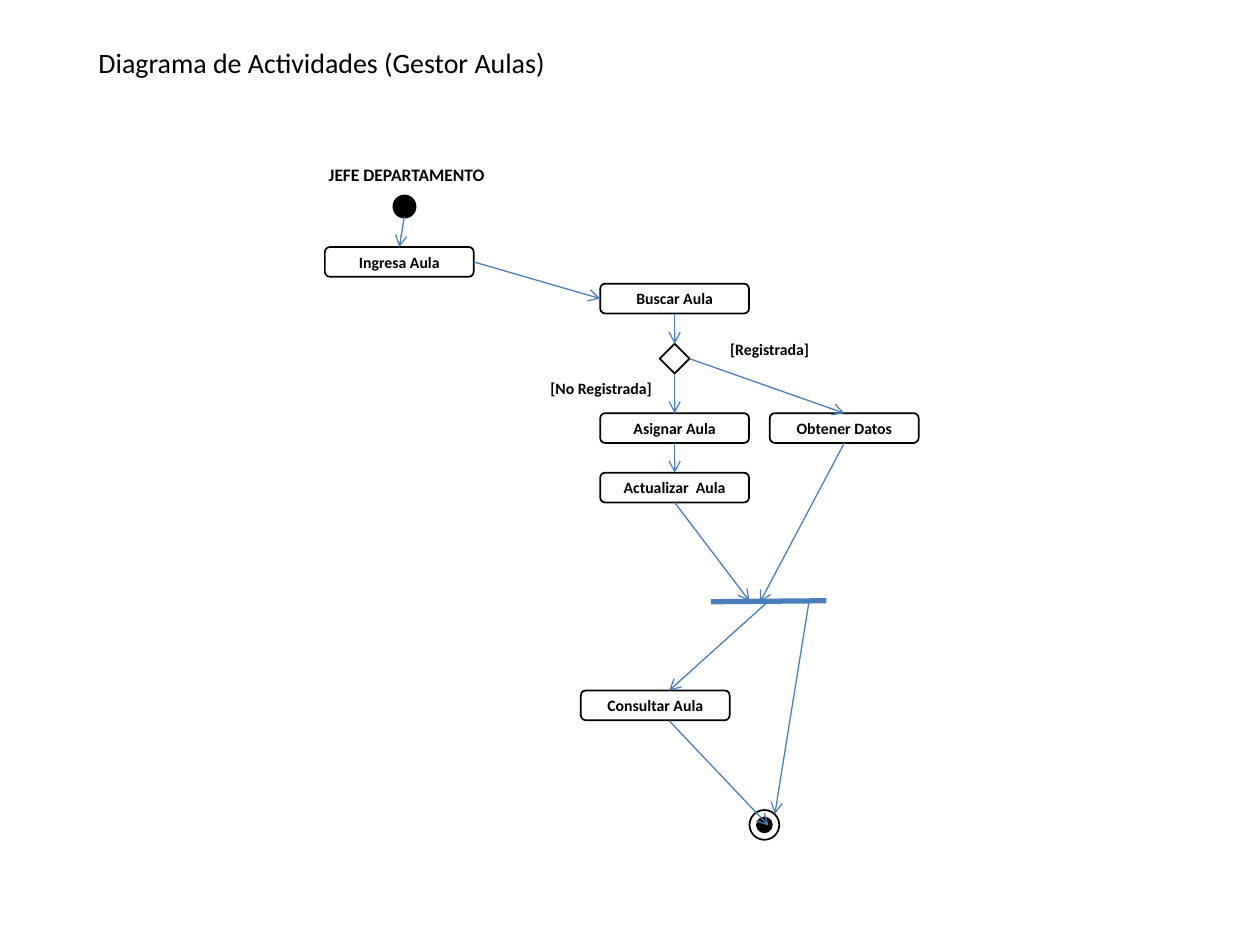
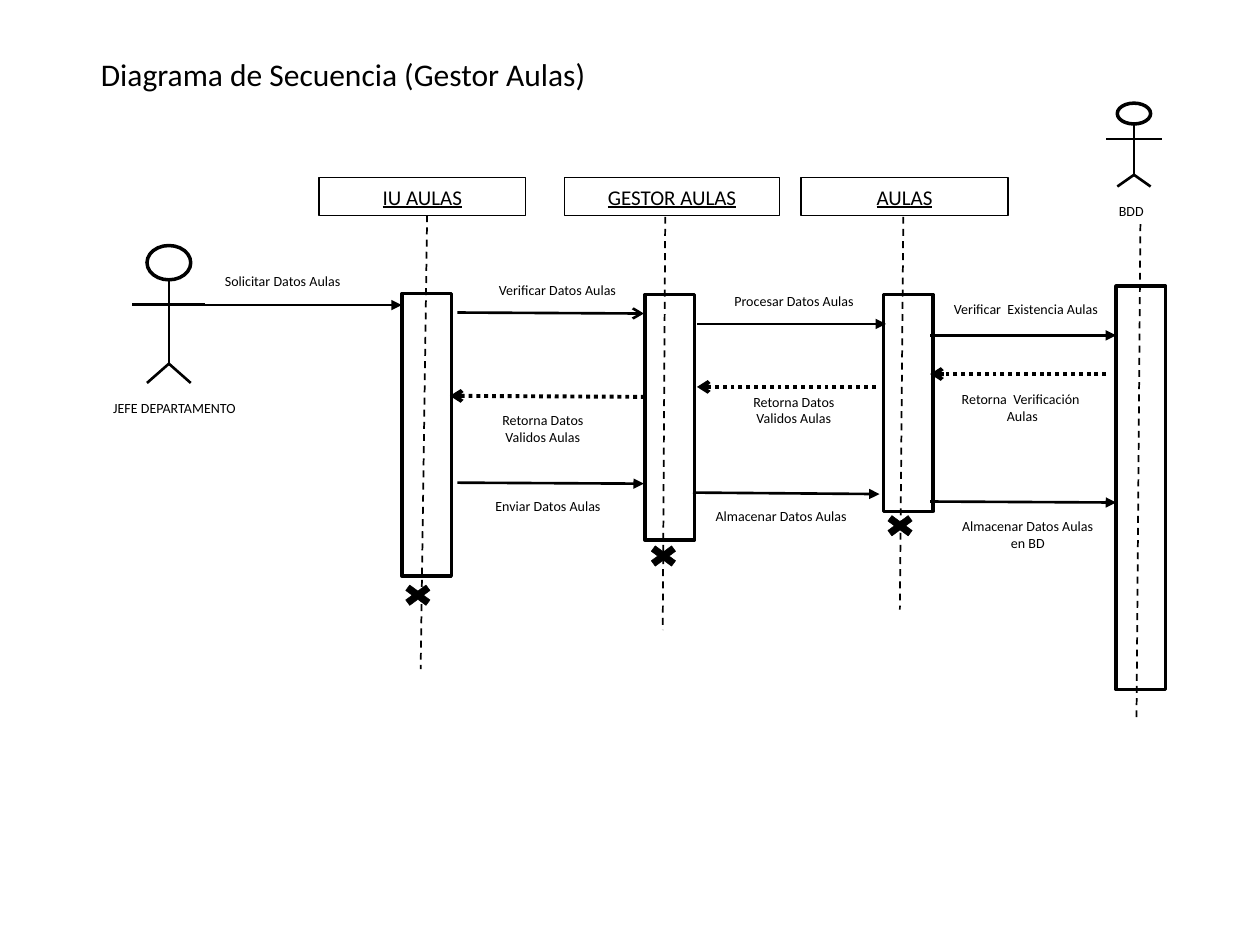
from dataclasses import dataclass

from lxml import etree
from pptx import Presentation
from pptx.dml.color import RGBColor
from pptx.enum.dml import MSO_LINE
from pptx.enum.shapes import MSO_CONNECTOR, MSO_SHAPE
from pptx.enum.text import MSO_ANCHOR, MSO_AUTO_SIZE, PP_ALIGN
from pptx.oxml.ns import qn
from pptx.slide import Slide
from pptx.util import Cm, Pt

# Shared constants
BLACK = RGBColor(0x00, 0x00, 0x00)
WHITE = RGBColor(0xFF, 0xFF, 0xFF)
BLUE = RGBColor(0x4A, 0x7E, 0xBB)
FONT = "Calibri"

STRAIGHT = MSO_CONNECTOR.STRAIGHT
RECT, OVAL, CROSS = MSO_SHAPE.RECTANGLE, MSO_SHAPE.OVAL, MSO_SHAPE.MATH_MULTIPLY
ACTIVITY = MSO_SHAPE.FLOWCHART_ALTERNATE_PROCESS
DECISION = MSO_SHAPE.FLOWCHART_DECISION
NODE, DONUT = MSO_SHAPE.FLOWCHART_CONNECTOR, MSO_SHAPE.DONUT
DASH, DOT = MSO_LINE.DASH, MSO_LINE.ROUND_DOT
LEFT, CENTER = PP_ALIGN.LEFT, PP_ALIGN.CENTER
ANCHOR_TOP, ANCHOR_MIDDLE = MSO_ANCHOR.TOP, MSO_ANCHOR.MIDDLE
NO_FIT = MSO_AUTO_SIZE.NONE
TOP_SIDE, LEFT_SIDE, BOTTOM_SIDE, RIGHT_SIDE = range(4)

# Text styles
LANE = dict(size=Pt(10), bold=True)
STEP = dict(size=Pt(9), bold=True)
OBJECT = dict(size=Pt(12), underline=True)
MESSAGE = dict(size=Pt(8))

# Line styles
FLOW = dict(color=BLUE, width=0.75, tail="arrow")
JOIN_BAR = dict(color=BLUE, width=3)
LIFELINE = dict(width=1, dash=DASH)
LIMB = dict(width=1.5)
CALL = dict(width=1.5, tail="triangle")
OPEN_CALL = dict(width=1.5, tail="arrow")
REPLY = dict(width=2.25, dash=DOT, tail="arrow")


def set_all(obj, values):
    for name, value in values.items():
        setattr(obj, name, value)


def write(tf, text, style, align=CENTER):
    p = tf.paragraphs[0]
    p.alignment = align
    r = p.add_run()
    r.text = text
    set_all(r.font, dict(name=FONT, **style))
    r.font.color.rgb = BLACK


@dataclass
class Panel:
    """Region of a slide; its parts are placed in cm from its corner."""
    slide: Slide
    left: float
    top: float

    def place(self, x, y):
        return Cm(self.left + x), Cm(self.top + y)

    def shape(self, kind, x, y, w, h, fill=WHITE, width=1.0):
        sp = self.slide.shapes.add_shape(kind, *self.place(x, y), Cm(w), Cm(h))
        sp.shadow.inherit = False
        if fill is None:
            sp.fill.background()
        else:
            sp.fill.solid()
            sp.fill.fore_color.rgb = fill
        sp.line.color.rgb = BLACK
        sp.line.width = Pt(width)
        return sp

    def boxed_text(self, kind, text, x, y, w, h, style, **look):
        sp = self.shape(kind, x, y, w, h, **look)
        set_all(sp.text_frame, dict(margin_top=0, margin_bottom=0,
                                    vertical_anchor=ANCHOR_MIDDLE))
        write(sp.text_frame, text, style)
        return sp

    def label(self, text, x, y, w, style, h=0.64):
        sp = self.slide.shapes.add_textbox(*self.place(x, y), Cm(w), Cm(h))
        sp.text_frame.word_wrap = True
        write(sp.text_frame, text, style)

    def line(self, start, end, color=BLACK, width=1.0, dash=None, tail=None):
        """Each end is a point (x, y) or a pair (shape, side)."""
        joined = [hasattr(e[0], "shape_id") for e in (start, end)]
        points = [(0, 0) if j else self.place(*e)
                  for j, e in zip(joined, (start, end))]
        c = self.slide.shapes.add_connector(STRAIGHT, *points[0], *points[1])
        if joined[0]:
            c.begin_connect(*start)
        if joined[1]:
            c.end_connect(*end)
        c.line.color.rgb = color
        c.line.width = Pt(width)
        if dash is not None:
            c.line.dash_style = dash
        spPr = c._element.spPr
        if tail:
            etree.SubElement(spPr.find(qn("a:ln")), qn("a:tailEnd"), type=tail)
        etree.SubElement(spPr, qn("a:effectLst"))


def titled_slide(prs, text, box, size, align):
    s = prs.slides.add_slide(prs.slide_layouts[5])
    title = s.shapes.title
    set_all(title, dict(zip(("left", "top", "width", "height"), map(Cm, box))))
    set_all(title.text_frame, dict(auto_size=NO_FIT, word_wrap=True,
                                   vertical_anchor=ANCHOR_TOP))
    write(title.text_frame, text, dict(size=Pt(size)), align)
    return s


def final_node(panel, x, y, d):
    dot = 0.2
    inset = (d - dot) / 2
    panel.shape(NODE, x + inset, y + inset, dot, dot, fill=BLACK, width=2)
    panel.shape(DONUT, x, y, d, d)


def activity_diagram(panel):
    # Nodes
    panel.label("JEFE DEPARTAMENTO", 0.1, 0.18, 4.19, LANE)
    panel.shape(NODE, 1.95, 0.96, 0.41, 0.41, fill=BLACK, width=2)
    final_node(panel, 9.11, 13.33, 0.6)
    steps = [
        ("Ingresa Aula", 0.55, 1.98),
        ("Buscar Aula", 6.1, 2.72),
        ("Asignar Aula", 6.1, 5.33),
        ("Obtener Datos", 9.52, 5.33),
        ("Actualizar  Aula", 6.1, 6.53),
        ("Consultar Aula", 5.71, 10.92),
    ]
    enter, search, assign, fetch, update, _ = [
        panel.boxed_text(ACTIVITY, text, x, y, 3, 0.6, STEP)
        for text, x, y in steps]
    choice = panel.shape(DECISION, 7.3, 3.93, 0.6, 0.6)

    # Guards
    panel.label("[Registrada]", 8.12, 3.73, 2.79, STEP)
    panel.label("[No Registrada]", 4.31, 4.52, 3.61, STEP)

    # Flows
    panel.line((10.66, 9.11), (8.33, 9.13), **JOIN_BAR)
    flows = [
        ((2.15, 1.37), (enter, TOP_SIDE)),
        ((enter, RIGHT_SIDE), (search, LEFT_SIDE)),
        ((search, BOTTOM_SIDE), (choice, TOP_SIDE)),
        ((choice, BOTTOM_SIDE), (assign, TOP_SIDE)),
        ((choice, RIGHT_SIDE), (fetch, TOP_SIDE)),
        ((assign, BOTTOM_SIDE), (update, TOP_SIDE)),
        ((update, BOTTOM_SIDE), (9.11, 9.12)),
        ((fetch, BOTTOM_SIDE), (9.32, 9.14)),
        ((9.49, 9.12), (7.49, 10.92)),
        ((7.49, 11.53), (9.49, 13.64)),
        ((10.31, 9.12), (9.62, 13.41)),
    ]
    for start, end in flows:
        panel.line(start, end, **FLOW)


def actor(panel, x, y, w, h):
    """Stick figure in a box as wide as its arms."""
    mid, foot = x + w / 2, 0.3 * w
    neck, arms, hip = (y + h * part for part in (0.25, 0.43, 0.86))
    panel.shape(OVAL, mid - foot, y, 2 * foot, neck - y, width=2)
    for start, end in [((mid, neck), (mid, hip)),
                       ((x, arms), (x + w, arms)),
                       ((mid, hip), (mid - foot, y + h)),
                       ((mid, hip), (mid + foot, y + h))]:
        panel.line(start, end, **LIMB)


def participants(panel):
    # Object heads
    for text, x, w in [("IU AULAS", 4.93, 4.17), ("GESTOR AULAS", 9.88, 4.34),
                       ("AULAS", 14.65, 4.17)]:
        panel.boxed_text(RECT, text, x, 1.58, w, 0.77, OBJECT,
                         fill=None, width=0.75)

    # Actors
    actor(panel, 20.8, 0.08, 1.12, 1.68)
    panel.label("BDD", 19.73, 1.96, 3.15, MESSAGE)
    actor(panel, 1.17, 2.95, 1.47, 2.77)
    panel.label("JEFE DEPARTAMENTO", 0.1, 5.92, 3.84, MESSAGE)

    # Lifelines and activation bars
    for start, end, bar_x, bar_y, bar_h in [
            ((7.11, 2.34), (6.98, 11.49), 6.6, 3.92, 5.69),
            ((11.91, 2.37), (11.86, 10.7), 11.5, 3.94, 4.95),
            ((16.71, 2.37), (16.64, 10.29), 16.31, 3.94, 4.37),
            ((21.49, 2.52), (21.41, 12.53), 21, 3.77, 8.13)]:
        panel.line(start, end, **LIFELINE)
        panel.shape(RECT, bar_x, bar_y, 1, bar_h, fill=None, width=2)

    # Destruction marks
    for x, y in [(6.53, 9.71), (11.48, 8.92), (16.25, 8.31)]:
        panel.shape(CROSS, x, y, 0.79, 0.58, fill=BLACK, width=0.25)


def messages(panel):
    # Text, label corner and width, arrow start and end, style
    rows = [
        ("Solicitar Datos Aulas", (2.41, 3.36, 3.58),
         (2.56, 4.15), (6.6, 4.15), CALL),
        ("Verificar Datos Aulas", (7.95, 3.56, 3.58),
         (7.72, 4.3), (11.48, 4.32), OPEN_CALL),
        ("Procesar Datos Aulas", (12.72, 3.77, 3.58),
         (12.55, 4.53), (16.36, 4.53), CALL),
        ("Verificar  Existencia Aulas", (16.9, 3.94, 4.57),
         (17.25, 4.76), (21, 4.76), CALL),
        ("Retorna  Verificación  Aulas", (17.42, 5.75, 3.38),
         (20.8, 5.54), (17.25, 5.54), REPLY),
        ("Retorna Datos Validos Aulas", (13.16, 5.8, 2.69),
         (16.15, 5.8), (12.55, 5.8), REPLY),
        ("Retorna Datos Validos Aulas", (8.1, 6.18, 2.69),
         (11.5, 6), (7.57, 5.98), REPLY),
        ("Enviar Datos Aulas", (8, 7.91, 3.1),
         (7.72, 7.73), (11.48, 7.75), CALL),
        ("Almacenar Datos Aulas", (12.27, 8.11, 3.96),
         (12.47, 7.93), (16.23, 7.96), CALL),
        ("Almacenar Datos Aulas en BD", (17.63, 8.31, 3.18),
         (17.25, 8.11), (21, 8.13), CALL),
    ]
    for text, place, start, end, style in rows:
        panel.line(start, end, **style)
        panel.label(text, *place, MESSAGE)


def main():
    prs = Presentation()
    prs.slide_width, prs.slide_height = Cm(25.4), Cm(19.05)

    s = titled_slide(prs, "Diagrama de Actividades (Gestor Aulas)",
                     (0.58, 0.79, 11.81, 1.12), 16, CENTER)
    activity_diagram(Panel(s, 6, 3))

    s = titled_slide(prs, "Diagrama de Secuencia (Gestor Aulas)",
                     (1.78, 0.99, 15.47, 1.02), 18, LEFT)
    panel = Panel(s, 1.5, 2)
    participants(panel)
    messages(panel)

    prs.save("out.pptx")


if __name__ == "__main__":
    main()
